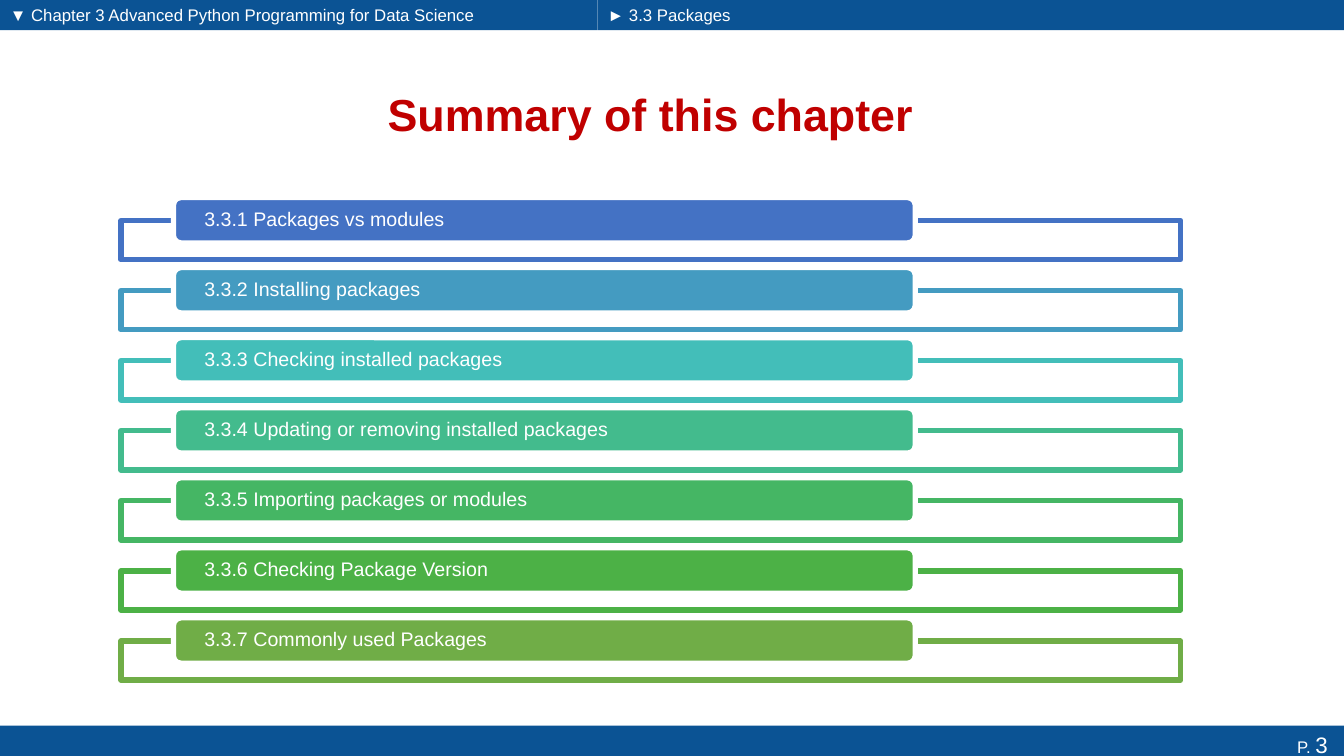
import dataclasses

import pptx
import pptx.dml.color
import pptx.enum.shapes
import pptx.enum.text
import pptx.util

Pt = pptx.util.Pt
Align = pptx.enum.text.PP_ALIGN
Anchor = pptx.enum.text.MSO_ANCHOR
Shape = pptx.enum.shapes.MSO_SHAPE


@dataclasses.dataclass(frozen=True)
class Theme:
    """Hold the colours, font and type sizes."""
    font: str = "Arial"
    bar: str = "0B5394"
    title: str = "C00000"
    white: str = "FFFFFF"
    big: int = 32
    item: int = 14
    small: int = 12
    page: int = 16
    edge: float = 3.78


THEME = Theme()
ITEMS = [
    ("3.3.1 Packages vs modules", "4472C4"),
    ("3.3.2 Installing packages", "449BC1"),
    ("3.3.3 Checking installed packages", "43BEB9"),
    ("3.3.4 Updating or removing installed packages", "43BB8D"),
    ("3.3.5 Importing packages or modules", "45B664"),
    ("3.3.6 Checking Package Version", "4CB146"),
    ("3.3.7 Commonly used Packages", "70AD47"),
]


def color(code):
    """Turn a hex code into a colour."""
    return pptx.dml.color.RGBColor.from_string(code)


def block(slide, kind, box, fill, line=None):
    """Draw a filled shape in the box."""
    shape = slide.shapes.add_shape(kind, *map(Pt, box))
    shape.shadow.inherit = False
    shape.fill.solid()
    shape.fill.fore_color.rgb = color(fill)
    if line:
        shape.line.color.rgb = color(line)
        shape.line.width = Pt(THEME.edge)
    else:
        shape.line.fill.background()
    return shape


def write(shape, text, size, tint=THEME.white, align=Align.LEFT,
          anchor=Anchor.MIDDLE, inset=7.2, pad=0):
    """Set one paragraph of text in a shape."""
    frame = shape.text_frame
    frame.word_wrap = True
    frame.vertical_anchor = anchor
    frame.margin_left = frame.margin_right = Pt(inset)
    frame.margin_top = frame.margin_bottom = Pt(pad)
    para = frame.paragraphs[0]
    para.text = text
    para.alignment = align
    para.font.name = THEME.font
    para.font.size = Pt(size)
    para.font.color.rgb = color(tint)
    return para


def header(slide, box, split):
    """Draw the two halves of the top bar."""
    left, top, width, height = box
    parts = [
        (left, split, "▼ Chapter 3 Advanced Python Programming for Data Science"),
        (left + split, width - split, "► 3.3 Packages"),
    ]
    for start, span, text in parts:
        bar = block(slide, Shape.RECTANGLE, (start, top, span, height), THEME.bar)
        write(bar, text, THEME.small)


def footer(slide, box):
    """Draw the bottom bar with the page number."""
    bar = block(slide, Shape.RECTANGLE, box, THEME.bar)
    para = write(bar, "P. ", THEME.small, align=Align.RIGHT,
                 anchor=Anchor.TOP, inset=11.5, pad=3.6)
    run = para.add_run()
    run.text = "3"
    run.font.size = Pt(THEME.page)


def title(slide, box):
    """Write the slide title."""
    area = slide.shapes.add_textbox(*map(Pt, box))
    para = write(area, "Summary of this chapter", THEME.big,
                 THEME.title, Align.CENTER)
    para.font.bold = True


def row(slide, box, text, tint):
    """Draw a framed row with its label on the top edge."""
    left, top, width, height = box
    block(slide, Shape.RECTANGLE, box, THEME.white, tint)
    label = block(slide, Shape.ROUNDED_RECTANGLE,
                  (left + 37.5, top - 16.5, width * 0.7, 32.4),
                  tint, THEME.white)
    para = write(label, text, THEME.item, inset=20.5)
    para.line_spacing = 0.9


def outline(slide, box):
    """Stack the rows at an equal pitch."""
    left, top, width, height = box
    pitch = 50.04
    for index, (text, tint) in enumerate(ITEMS):
        row(slide, (left, top + index * pitch, width, height), text, tint)


def main():
    """Build the deck and save it."""
    deck = pptx.Presentation()
    deck.slide_width, deck.slide_height = Pt(960), Pt(540)
    slide = deck.slides.add_slide(deck.slide_layouts[6])
    header(slide, (0, 0, 960, 21.6), 427)
    footer(slide, (0, 518.4, 960, 26.6))
    title(slide, (180.7, 49, 568, 64.8))
    outline(slide, (86.4, 157.6, 757, 28))
    deck.save("out.pptx")


if __name__ == "__main__":
    main()
